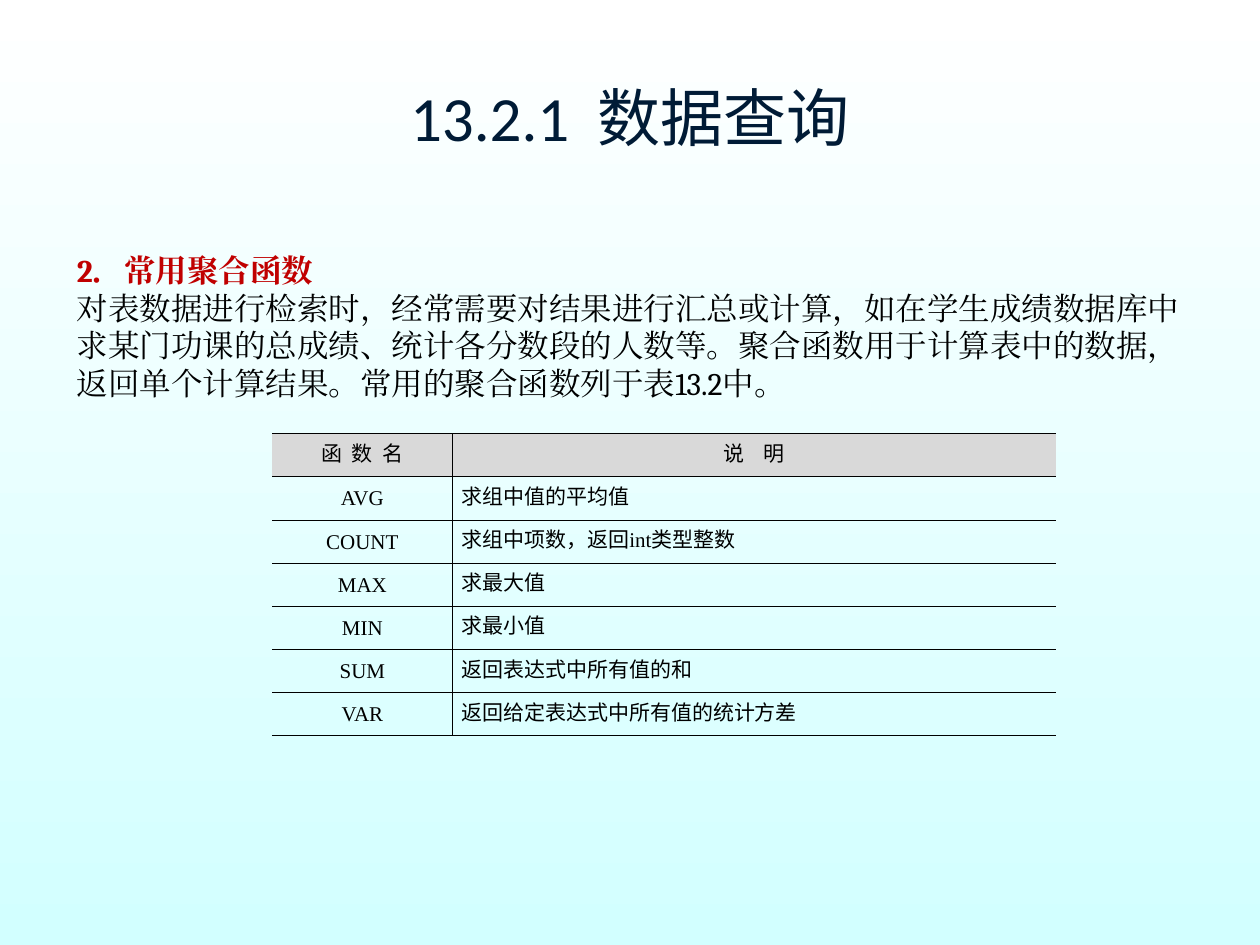
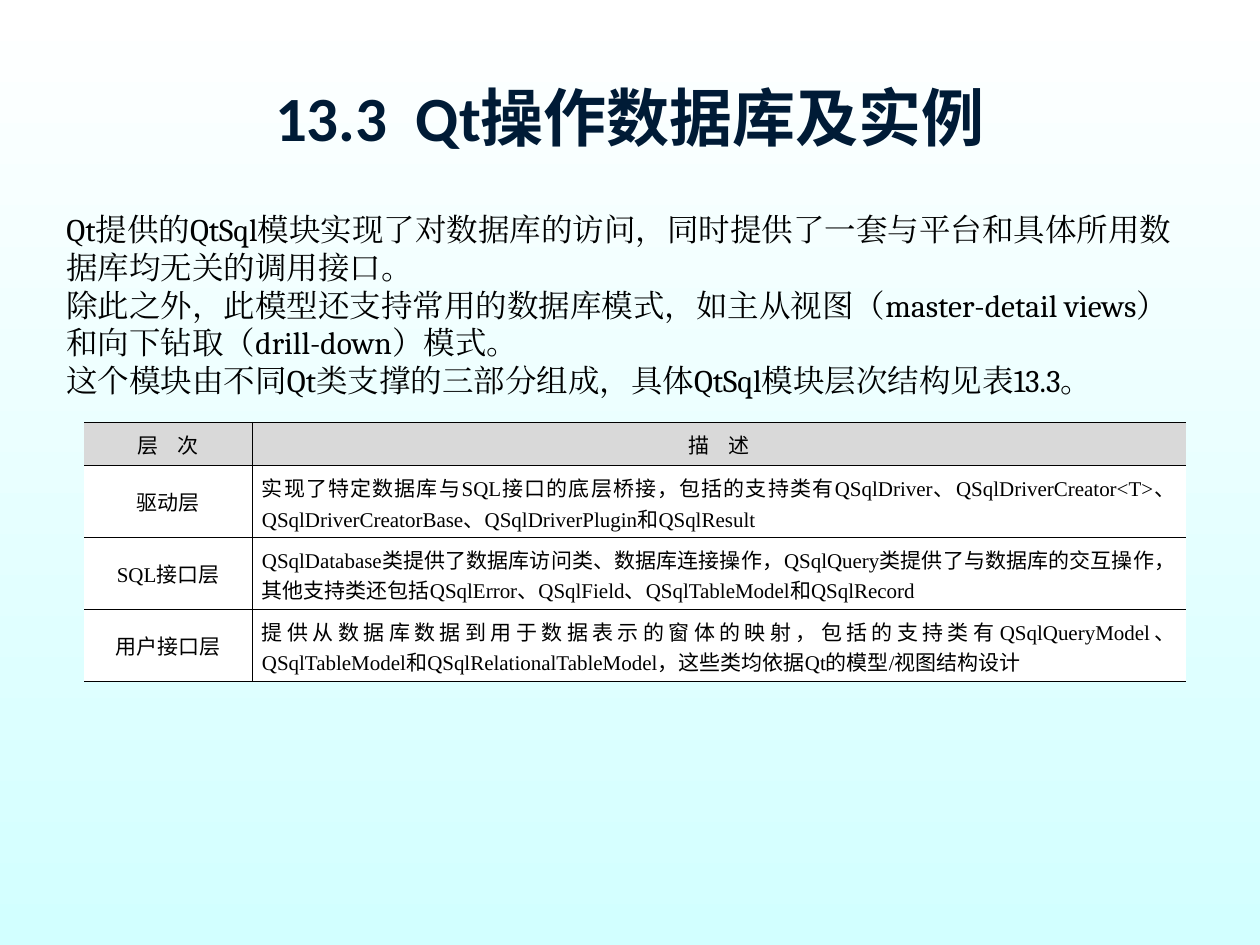
from dataclasses import dataclass

from lxml.etree import SubElement
from pptx import Presentation
from pptx.dml.color import RGBColor
from pptx.enum.lang import MSO_LANGUAGE_ID
from pptx.enum.text import MSO_ANCHOR, MSO_AUTO_SIZE, PP_ALIGN
from pptx.oxml.ns import qn
from pptx.util import Cm, Pt

COLORS = {
    "sky_top": "FFFFFF",
    "sky_bottom": "D2FFFF",
    "title": "001B36",
    "topic": "C00000",
    "text": "000000",
    "header": "D9D9D9",
    "white": "FFFFFF",
}
PLAIN_TABLE_STYLE = "{2D5ABB26-0587-4C30-8999-92F81FD0307C}"


@dataclass
class Area:
    left: float
    top: float
    width: float
    height: float


@dataclass
class Grid:
    left: float
    top: float
    columns: list[float]
    header_height: float
    row_height: float
    side_margin: float
    header_spacing: list[float]
    rows: list[list[str]]
    row_fill: str | None = None
    line_points: float | None = None


@dataclass
class Lesson:
    number: str
    name: str
    bold_title: bool
    body: Area
    paragraphs: list[str]
    grid: Grid
    topic: str | None = None


TITLE = Area(1.27, 0.76, 22.86, 3.18)

LESSONS = [
    Lesson(
        "13.2.1", "数据查询", False, Area(1.3, 4.93, 22.81, 4.06),
        ["对表数据进行检索时，经常需要对结果进行汇总或计算，如在学生成绩数据库中"
         "求某门功课的总成绩、统计各分数段的人数等。聚合函数用于计算表中的数据，"
         "返回单个计算结果。常用的聚合函数列于表13.2中。"],
        Grid(5.49, 8.74, [3.63, 12.17], 0.87, 0.87, 0.18, [1.4, 4], [
            ["函 数 名", "说 明"],
            ["AVG", "求组中值的平均值"],
            ["COUNT", "求组中项数，返回int类型整数"],
            ["MAX", "求最大值"],
            ["MIN", "求最小值"],
            ["SUM", "返回表达式中所有值的和"],
            ["VAR", "返回给定表达式中所有值的统计方差"],
        ], line_points=14),
        topic="2．常用聚合函数",
    ),
    Lesson(
        "13.3", "Qt操作数据库及实例", True, Area(1.09, 4.11, 23.01, 4.83),
        ["Qt提供的QtSql模块实现了对数据库的访问，同时提供了一套与平台和具体所用"
         "数据库均无关的调用接口。",
         "除此之外，此模型还支持常用的数据库模式，如主从视图（master-detail views）"
         "和向下钻取（drill-down）模式。",
         "这个模块由不同Qt类支撑的三部分组成，具体QtSql模块层次结构见表13.3。"],
        Grid(1.7, 8.51, [3.38, 18.82], 0.88, 1.45, 0.2, [4, 4], [
            ["层 次", "描 述"],
            ["驱动层",
             "实现了特定数据库与SQL接口的底层桥接，包括的支持类有QSqlDriver、"
             "QSqlDriverCreator<T>、QSqlDriverCreatorBase、QSqlDriverPlugin和QSqlResult"],
            ["SQL接口层",
             "QSqlDatabase类提供了数据库访问类、数据库连接操作，QSqlQuery类提供了与"
             "数据库的交互操作，其他支持类还包括QSqlError、QSqlField、QSqlTableModel和QSqlRecord"],
            ["用户接口层",
             "提供从数据库数据到用于数据表示的窗体的映射，包括的支持类有QSqlQueryModel、"
             "QSqlTableModel和QSqlRelationalTableModel，这些类均依据Qt的模型/视图结构设计"],
        ], row_fill="white"),
    ),
]


def rgb(name: str) -> RGBColor:
    return RGBColor.from_string(COLORS[name])


def write(para, text: str, *, font: str, size: float, color: str = "text",
          bold: bool = False, spacing: float = 0, asian_font: str | None = None) -> None:
    """Add one formatted span; spacing is extra points after each letter."""
    span = para.add_run()
    span.text = text
    span.font.name = font
    span.font.size = Pt(size)
    span.font.bold = bold
    span.font.color.rgb = rgb(color)
    span.font.language_id = MSO_LANGUAGE_ID.SIMPLIFIED_CHINESE
    properties = span.font._element
    if spacing:
        properties.set("spc", str(round(spacing * 100)))
    if asian_font:
        SubElement(properties, qn("a:ea")).set("typeface", asian_font)


def add_box(page, area: Area):
    box = page.shapes.add_textbox(Cm(area.left), Cm(area.top), Cm(area.width), Cm(area.height))
    box.text_frame.word_wrap = True
    return box.text_frame


def add_title(page, lesson: Lesson) -> None:
    frame = add_box(page, TITLE)
    frame.vertical_anchor = MSO_ANCHOR.MIDDLE
    para = frame.paragraphs[0]
    para.alignment = PP_ALIGN.CENTER
    for text, spacing in ((lesson.number, 0), (" ", 8), (lesson.name, 0)):
        write(para, text, font="Calibri", size=36, color="title",
              bold=lesson.bold_title, spacing=spacing)


def add_body(page, lesson: Lesson) -> None:
    frame = add_box(page, lesson.body)
    frame.auto_size = MSO_AUTO_SIZE.SHAPE_TO_FIT_TEXT
    topics = [lesson.topic] if lesson.topic else []
    for index, text in enumerate(topics + lesson.paragraphs):
        para = frame.add_paragraph() if index else frame.paragraphs[0]
        is_topic = index < len(topics)
        write(para, text, font="Cambria", asian_font="Cambria", size=18,
              color="topic" if is_topic else "text", bold=is_topic)


def set_borders(cell, sides: str) -> None:
    """Draw thin lines on the given sides (L, R, T, B) and none on the others."""
    properties = cell._tc.get_or_add_tcPr()
    for side in "LRTB":
        line = SubElement(properties, qn(f"a:ln{side}"), w=str(Pt(0.45)))
        if side in sides:
            fill = SubElement(line, qn("a:solidFill"))
            SubElement(fill, qn("a:srgbClr"), val=COLORS["text"])
        else:
            SubElement(line, qn("a:noFill"))


def add_grid(page, grid: Grid) -> None:
    heights = [grid.header_height] + [grid.row_height] * (len(grid.rows) - 1)
    table = page.shapes.add_table(
        len(grid.rows), len(grid.columns), Cm(grid.left), Cm(grid.top),
        Cm(sum(grid.columns)), Cm(sum(heights))).table
    table.horz_banding = table.first_row = False
    table._tbl.tblPr.find(qn("a:tableStyleId")).text = PLAIN_TABLE_STYLE
    for column, width in zip(table.columns, grid.columns):
        column.width = Cm(width)

    for row_index, (row, height) in enumerate(zip(grid.rows, heights)):
        table.rows[row_index].height = Cm(height)
        is_header = row_index == 0
        for column_index, text in enumerate(row):
            cell = table.cell(row_index, column_index)
            cell.margin_left = cell.margin_right = Cm(grid.side_margin)
            cell.margin_top = cell.margin_bottom = Cm(0.13)
            cell.vertical_anchor = MSO_ANCHOR.MIDDLE
            set_borders(cell, "LTB" if column_index else "RTB")
            fill_name = "header" if is_header else grid.row_fill
            if fill_name:
                cell.fill.solid()
                cell.fill.fore_color.rgb = rgb(fill_name)
            else:
                cell.fill.background()
            para = cell.text_frame.paragraphs[0]
            centred = is_header or column_index == 0
            para.alignment = PP_ALIGN.CENTER if centred else PP_ALIGN.JUSTIFY
            if grid.line_points:
                para.line_spacing = Pt(grid.line_points)
            write(para, text, font="Arial" if is_header else "Times New Roman", size=12,
                  spacing=grid.header_spacing[column_index] if is_header else 0)


def set_background(deck) -> None:
    fill = deck.slide_master.background.fill
    fill.gradient()
    fill.gradient_angle = 270
    for stop, name in zip(fill.gradient_stops, ("sky_top", "sky_bottom")):
        stop.color.rgb = rgb(name)


def main() -> None:
    deck = Presentation()
    deck.slide_width, deck.slide_height = Cm(25.4), Cm(19.05)
    set_background(deck)
    for lesson in LESSONS:
        page = deck.slides.add_slide(deck.slide_layouts[6])
        add_title(page, lesson)
        add_body(page, lesson)
        add_grid(page, lesson.grid)
    deck.save("out.pptx")


if __name__ == "__main__":
    main()
